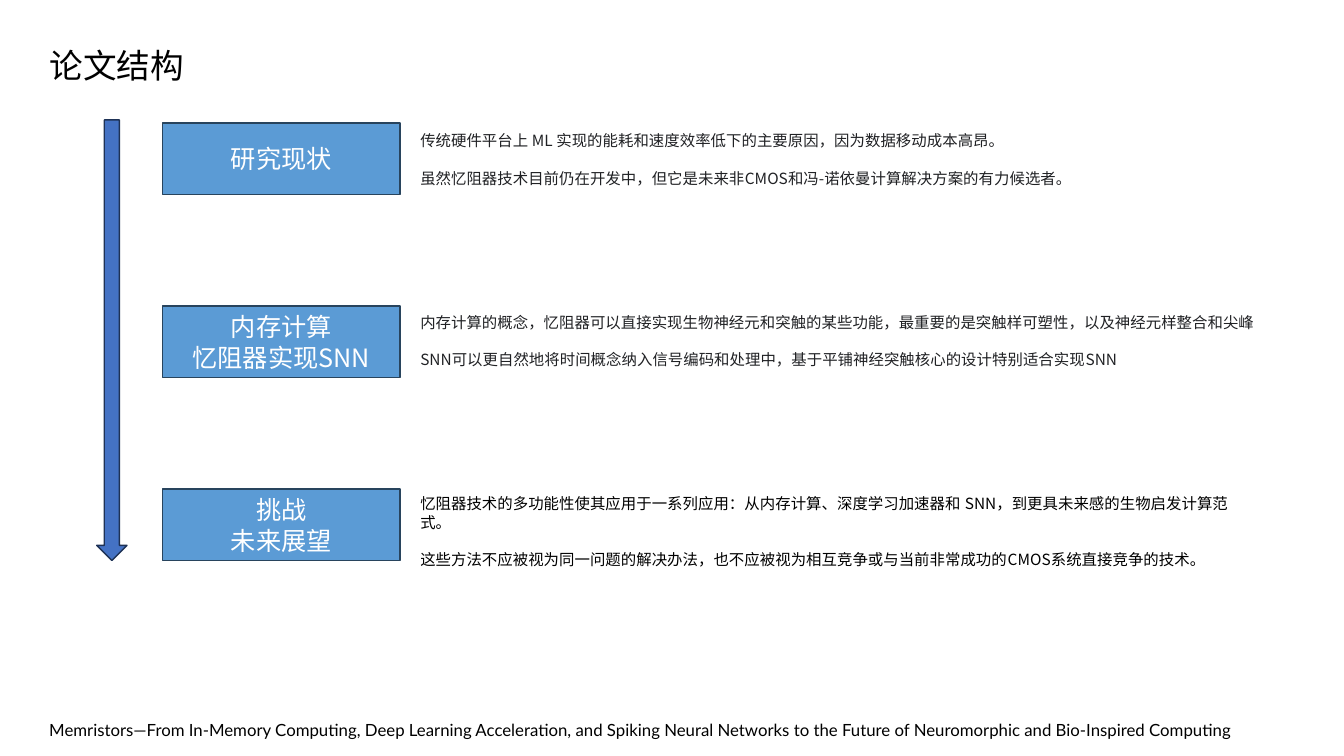
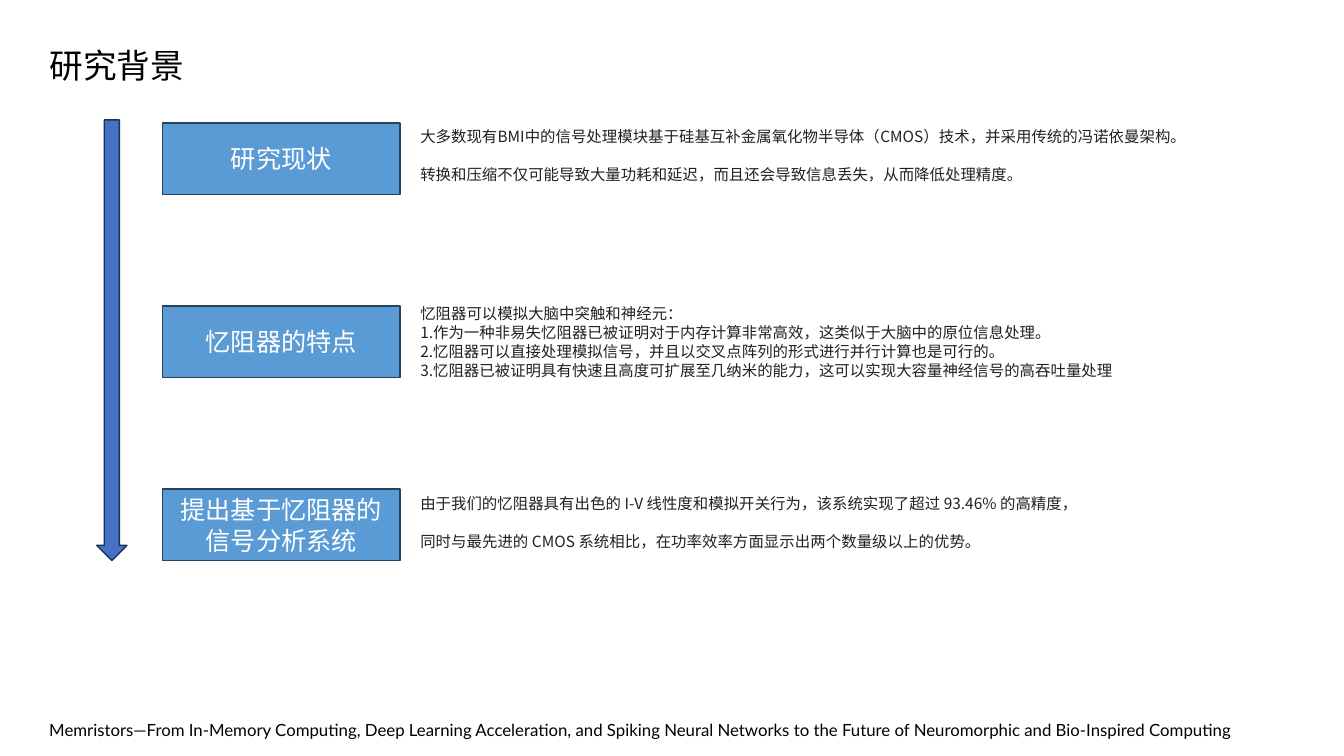
from lxml import etree
from pptx import Presentation
from pptx.dml.color import RGBColor
from pptx.enum.shapes import MSO_SHAPE as Shape
from pptx.enum.text import MSO_ANCHOR as Anchor, PP_ALIGN as Align
from pptx.oxml.ns import qn
from pptx.util import Inches, Pt

CJK_FONT = "Noto Sans CJK SC"
BLACK, BODY, WHITE = "000000", "202124", "FFFFFF"
BOX_FILL, BOX_LINE = "5B9BD5", "28445D"
ARROW_FILL, ARROW_LINE = "4472C4", "1E3256"
LINE_FACTOR = 1.2

MARGIN = 0.39
BOX_LEFT, BOX_TOP, BOX_WIDTH, BOX_HEIGHT = 1.61, 1.22, 2.36, 0.71
ROW_PITCH = 1.815
TEXT_LEFT = 4.07
FOOTER = ("Memristors—From In-Memory Computing, Deep Learning Acceleration, and Spiking "
          "Neural Networks to the Future of Neuromorphic and Bio-Inspired Computing")

# Each row: box label, text top, text width, text colour, space between paragraphs, paragraphs
SLIDES = [
    ("论文结构", [
        ("研究现状", 1.25, 8.3, BODY, 13.4, [
            "传统硬件平台上 ML 实现的能耗和速度效率低下的主要原因，因为数据移动成本高昂。",
            "虽然忆阻器技术目前仍在开发中，但它是未来非CMOS和冯-诺依曼计算解决方案的有力候选者。",
        ]),
        ("内存计算\n忆阻器实现SNN", 3.05, 8.87, BODY, 13.4, [
            "内存计算的概念，忆阻器可以直接实现生物神经元和突触的某些功能，最重要的是突触样可塑性，以及神经元样整合和尖峰",
            "SNN可以更自然地将时间概念纳入信号编码和处理中，基于平铺神经突触核心的设计特别适合实现SNN",
        ]),
        ("挑战\n未来展望", 4.85, 8.3, BLACK, 13.4, [
            "忆阻器技术的多功能性使其应用于一系列应用：从内存计算、深度学习加速器和 SNN，到更具未来感的生物启发计算范式。",
            "这些方法不应被视为同一问题的解决办法，也不应被视为相互竞争或与当前非常成功的CMOS系统直接竞争的技术。",
        ]),
    ]),
    ("研究背景", [
        ("研究现状", 1.21, 8.87, BODY, 13.4, [
            "大多数现有BMI中的信号处理模块基于硅基互补金属氧化物半导体（CMOS）技术，并采用传统的冯诺依曼架构。",
            "转换和压缩不仅可能导致大量功耗和延迟，而且还会导致信息丢失，从而降低处理精度。",
        ]),
        ("忆阻器的特点", 2.97, 8.87, BODY, 0, [
            "忆阻器可以模拟大脑中突触和神经元：",
            "1.作为一种非易失忆阻器已被证明对于内存计算非常高效，这类似于大脑中的原位信息处理。",
            "2.忆阻器可以直接处理模拟信号，并且以交叉点阵列的形式进行并行计算也是可行的。",
            "3.忆阻器已被证明具有快速且高度可扩展至几纳米的能力，这可以实现大容量神经信号的高吞吐量处理",
        ]),
        ("提出基于忆阻器的信号分析系统", 4.85, 8.87, BODY, 13.4, [
            "由于我们的忆阻器具有出色的 I-V 线性度和模拟开关行为，该系统实现了超过 93.46% 的高精度，",
            "同时与最先进的 CMOS 系统相比，在功率效率方面显示出两个数量级以上的优势。",
        ]),
    ]),
]


def color(value):
    return RGBColor.from_string(value)


def write(shape, text, size, text_color, font=CJK_FONT, align=Align.LEFT,
          anchor=Anchor.TOP, gap=0):
    """Fill a shape with text, one paragraph per line, and format it."""
    frame = shape.text_frame
    frame.text = text
    frame.word_wrap = True
    frame.vertical_anchor = anchor
    frame.margin_left = frame.margin_right = Inches(0.1)
    frame.margin_top = frame.margin_bottom = Inches(0.05)
    for index, paragraph in enumerate(frame.paragraphs):
        paragraph.alignment = align
        paragraph.line_spacing = Pt(round(size * LINE_FACTOR + 0.2, 1))
        paragraph.space_before = Pt(gap if index else 0)
        for run in paragraph.runs:
            run.font.size = Pt(size)
            run.font.color.rgb = color(text_color)
            run.font.name = font
            properties = run._r.get_or_add_rPr()
            etree.SubElement(properties, qn("a:ea")).set("typeface", font)


def add_text(slide, left, top, width, height, *args, **options):
    box = slide.shapes.add_textbox(Inches(left), Inches(top), Inches(width), Inches(height))
    write(box, *args, **options)


def add_filled(slide, kind, left, top, width, height, fill, line):
    shape = slide.shapes.add_shape(kind, Inches(left), Inches(top), Inches(width), Inches(height))
    shape.shadow.inherit = False
    shape.fill.solid()
    shape.fill.fore_color.rgb = color(fill)
    shape.line.color.rgb = color(line)
    shape.line.width = Pt(1)
    return shape


def add_title(slide, text):
    title = slide.shapes.title
    title.left, title.top = Inches(MARGIN), Inches(MARGIN)
    title.width, title.height = Inches(5.28), Inches(0.5)
    write(title, text, 24, BLACK)


def add_row(slide, index, row):
    label, top, width, text_color, gap, paragraphs = row
    box = add_filled(slide, Shape.RECTANGLE, BOX_LEFT, BOX_TOP + index * ROW_PITCH,
                     BOX_WIDTH, BOX_HEIGHT, BOX_FILL, BOX_LINE)
    write(box, label, 18, WHITE, align=Align.CENTER, anchor=Anchor.MIDDLE)
    height = 0.84 if len(paragraphs) > 2 else 0.66
    add_text(slide, TEXT_LEFT, top, width, height, "\n".join(paragraphs), 11, text_color, gap=gap)


def main():
    presentation = Presentation()
    presentation.slide_width, presentation.slide_height = Inches(13.33), Inches(7.5)
    title_only = presentation.slide_layouts[5]
    for title, rows in SLIDES:
        slide = presentation.slides.add_slide(title_only)
        add_title(slide, title)
        add_filled(slide, Shape.DOWN_ARROW, 0.96, 1.19, 0.3, 4.37, ARROW_FILL, ARROW_LINE)
        for index, row in enumerate(rows):
            add_row(slide, index, row)
        add_text(slide, MARGIN, 7.09, 12.77, 0.3, FOOTER, 12, BLACK, font="Lato")
    presentation.save("out.pptx")


if __name__ == "__main__":
    main()
